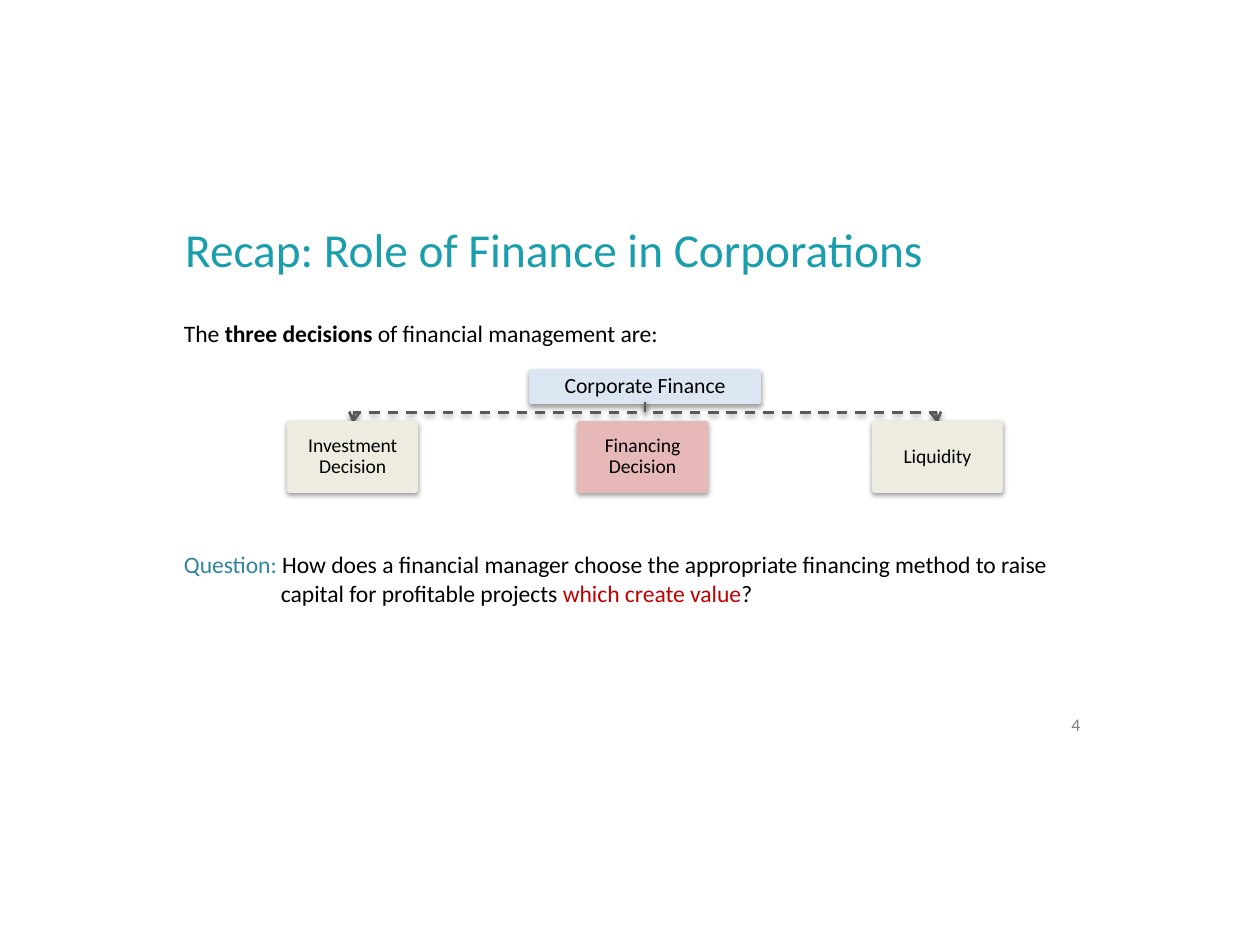
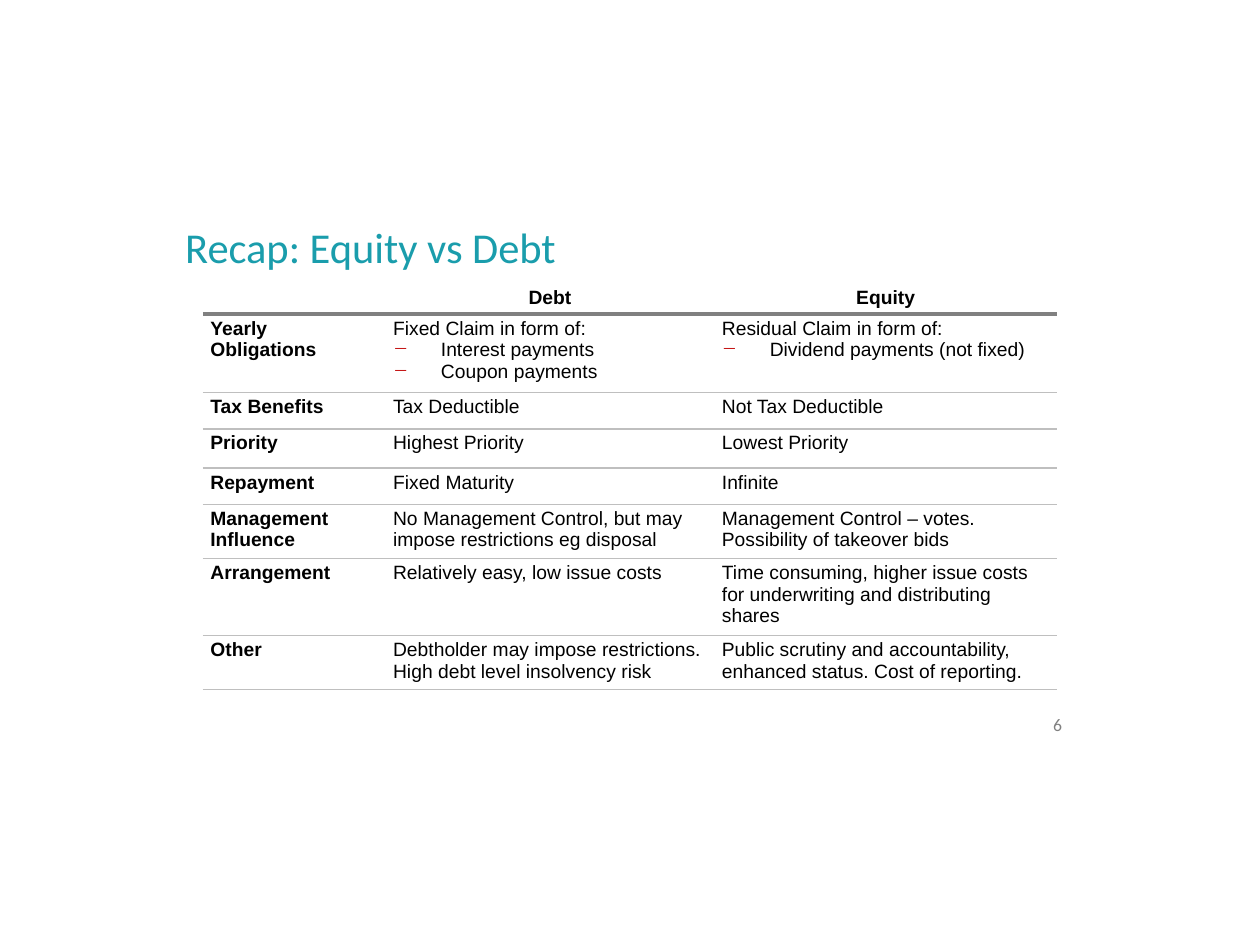
from dataclasses import dataclass

from lxml import etree
from pptx import Presentation
from pptx.dml.color import RGBColor
from pptx.enum import dml, shapes, text
from pptx.oxml.ns import qn
from pptx.util import Inches, Pt


@dataclass(frozen=True)
class Theme:
    head_font: str = "Calibri"
    table_font: str = "Arial"
    title: str = "1A9DAC"
    ink: str = "000000"
    question: str = "31859C"
    accent: str = "C00000"
    number: str = "808080"
    root: str = "DCE6F2"
    branch: str = "EEECE1"
    focus: str = "E6B9B8"
    link: str = "595959"
    rule: str = "BFBFBF"
    head_rule: str = "808080"
    body_size: float = 13.5
    root_size: float = 12.4
    branch_size: float = 11.2
    table_size: float = 11
    number_size: float = 10.1


T = Theme()
LEFT, CENTER = text.PP_ALIGN.LEFT, text.PP_ALIGN.CENTER

ROLE = {"title": "Recap: Role of Finance in Corporations", "size": 27,
        "number": "4", "number_align": CENTER}
INTRO = [("The ", {}), ("three decisions ", {"bold": True}),
         ("of financial management are:", {})]
QUESTION = [
    ("Question: ", {"color": T.question}),
    ("How does a financial manager choose the appropriate financing method "
     "to raise capital for profitable projects ", {}),
    ("which create value", {"color": T.accent}),
    ("?", {}),
]
ROOT = "Corporate Finance"
DECISIONS = [  # label, left edge, fill
    ("Investment Decision", 2.3, T.branch),
    ("Financing Decision", 4.6, T.focus),
    ("Liquidity", 6.94, T.branch),
]

VERSUS = {"title": "Recap: Equity vs Debt", "size": 24.3,
          "number": "6", "number_align": LEFT}
COLUMNS = [("", 1.45), ("Debt", 2.61), ("Equity", 2.72)]
HEAD_HEIGHT = 0.24
ROWS = [  # height, then cells; a list is a lead line followed by dashed items
    (0.62, "Yearly Obligations",
     ["Fixed Claim in form of:", "Interest payments", "Coupon payments"],
     ["Residual Claim in form of:", "Dividend payments (not fixed)"]),
    (0.29, "Tax Benefits", "Tax Deductible", "Not Tax Deductible"),
    (0.31, "Priority", "Highest Priority", "Lowest Priority"),
    (0.29, "Repayment", "Fixed Maturity", "Infinite"),
    (0.43, "Management Influence",
     "No Management Control, but may impose restrictions eg disposal",
     "Management Control – votes. Possibility of takeover bids"),
    (0.43, "Arrangement", "Relatively easy, low issue costs",
     "Time consuming, higher issue costs for underwriting and distributing shares"),
    (0.43, "Other",
     "Debtholder may impose restrictions. High debt level insolvency risk",
     "Public scrutiny and accountability, enhanced status. Cost of reporting."),
]


def add(parent, tag, **attrs):
    return etree.SubElement(parent, qn(tag), {k: str(v) for k, v in attrs.items()})


def write(p, runs, size=T.body_size, font=T.head_font, color=T.ink, bold=False, align=LEFT):
    """Fill a paragraph from a string or from (text, overrides) pairs."""
    p.alignment = align
    for words, extra in [(runs, {})] if isinstance(runs, str) else runs:
        r = p.add_run()
        r.text = words
        r.font.name, r.font.size = font, Pt(size)
        r.font.bold = extra.get("bold", bold)
        r.font.color.rgb = RGBColor.from_string(extra.get("color", color))


def indent(p, left):
    """Set a hanging indent and return the paragraph properties."""
    props = p._p.get_or_add_pPr()
    props.set("marL", str(Inches(left)))
    props.set("indent", str(-Inches(left)))
    return props


def place(sp, left, top, width, height):
    sp.left, sp.top, sp.width, sp.height = map(Inches, (left, top, width, height))


def insets(tf, x, y):
    tf.margin_left = tf.margin_right = Inches(x)
    tf.margin_top = tf.margin_bottom = Inches(y)


def new_slide(prs, layout, info):
    s = prs.slides.add_slide(prs.slide_layouts.get_by_name(layout))
    title = s.shapes.title
    place(title, 1.47, 1.75, 6.47, 0.5)
    tf = title.text_frame
    insets(tf, 0, 0)
    tf.auto_size = text.MSO_AUTO_SIZE.NONE
    tf.vertical_anchor = text.MSO_ANCHOR.TOP
    write(tf.paragraphs[0], info["title"], size=info["size"], color=T.title)
    box = s.shapes.add_textbox(*map(Inches, (8.26, 5.62, 0.56, 0.33)))
    box.text_frame.word_wrap = True
    write(box.text_frame.paragraphs[0], info["number"], size=T.number_size,
          color=T.number, align=info["number_align"])
    return s


def outline(sp, color, width, dash=None, arrow=False):
    sp.line.color.rgb = RGBColor.from_string(color)
    sp.line.width = Pt(width)
    if dash:
        sp.line.dash_style = dash
    ln = sp._element.spPr.find(qn("a:ln"))
    add(ln, "a:round")
    if arrow:
        add(ln, "a:tailEnd", type="arrow")


def soft_shadow(sp):
    sp.shadow.inherit = False
    effects = sp._element.spPr.find(qn("a:effectLst"))
    shade = add(effects, "a:outerShdw", blurRad=Pt(3.1), dist=Pt(1.6),
                dir=90 * 60000, rotWithShape=0)
    add(add(shade, "a:srgbClr", val="000000"), "a:alpha", val=38000)


def chart_box(s, label, at, fill, size, inset):
    sp = s.shapes.add_shape(shapes.MSO_SHAPE.RECTANGLE, *map(Inches, at))
    sp.fill.solid()
    sp.fill.fore_color.rgb = RGBColor.from_string(fill)
    outline(sp, fill, 3)
    soft_shadow(sp)
    tf = sp.text_frame
    tf.word_wrap = True
    tf.vertical_anchor = text.MSO_ANCHOR.MIDDLE
    insets(tf, inset, inset)
    p = tf.paragraphs[0]
    p.line_spacing = 0.9
    write(p, label, size=size, align=CENTER)


def elbow(s, start, end):
    """Draw a dashed arrow that goes down, across and down again."""
    (x1, y1), (x2, y2) = start, end
    mid = (y1 + y2) / 2
    path_points = [(x1, mid), (x2, mid), (x2, y2)]
    builder = s.shapes.build_freeform(Inches(x1), Inches(y1))
    builder.add_line_segments([(Inches(x), Inches(y)) for x, y in path_points], close=False)
    sp = builder.convert_to_shape()
    sp.fill.background()
    outline(sp, T.link, 1.5, dml.MSO_LINE.DASH, arrow=True)
    soft_shadow(sp)


def role_slide(prs):
    s = new_slide(prs, "Title and Content", ROLE)
    body = s.placeholders[1]
    place(body, 1.36, 2.48, 7.05, 3.29)
    tf = body.text_frame
    tf.auto_size = text.MSO_AUTO_SIZE.NONE
    for p, runs, hang, before in ((tf.paragraphs[0], INTRO, 0, 0),
                                  (tf.add_paragraph(), QUESTION, 0.77, 116)):
        add(indent(p, hang), "a:buNone")
        p.space_before = Pt(before)
        write(p, runs)

    left, top, width, height = root = (4.22, 2.95, 1.8, 0.24)
    branch_top, branch_width, branch_height = 3.36, 1, 0.53
    chart_box(s, ROOT, root, T.root, T.root_size, 0.07)
    for _, x, _ in (DECISIONS[0], DECISIONS[-1]):
        elbow(s, (left + width / 2, top + height), (x + branch_width / 2, branch_top))
    for label, x, fill in DECISIONS:
        chart_box(s, label, (x, branch_top, branch_width, branch_height),
                  fill, T.branch_size, 0.06)


def border(cell, **edges):
    """Give each side (L, R, T, B) a (colour, points) line, or none."""
    props = cell._tc.get_or_add_tcPr()
    for side in "LRTB":
        color, width = edges.get(side, (None, 0))
        ln = add(props, f"a:ln{side}", w=Pt(width))
        if color:
            add(add(ln, "a:solidFill"), "a:srgbClr", val=color)
        else:
            add(ln, "a:noFill")


def fill_cell(cell, content, bold, align):
    insets(cell, 0.06, 0.03)
    lines = [content] if isinstance(content, str) else content
    tf = cell.text_frame
    for i, line in enumerate(lines):
        p = tf.add_paragraph() if i else tf.paragraphs[0]
        if i:
            props = indent(p, 0.38)
            add(add(props, "a:buClr"), "a:srgbClr", val=T.accent)
            add(props, "a:buChar", char="─")
        if line:
            write(p, line, size=T.table_size, font=T.table_font, bold=bold, align=align)
        else:
            add(p._p, "a:endParaRPr", sz=int(T.table_size * 100))


def versus_slide(prs):
    s = new_slide(prs, "Title Only", VERSUS)
    grid = [(HEAD_HEIGHT, *(name for name, _ in COLUMNS)), *ROWS]
    widths = [w for _, w in COLUMNS]
    heights = [row[0] for row in grid]
    size = map(Inches, (1.61, 2.25, sum(widths), sum(heights)))
    table = s.shapes.add_table(len(grid), len(widths), *size).table
    table.first_row = table.horz_banding = False
    for column, w in zip(table.columns, widths):
        column.width = Inches(w)
    thin, thick = (T.rule, 1), (T.head_rule, 2.25)
    for i, (height, *cells) in enumerate(grid):
        table.rows[i].height = Inches(height)
        edges = {"B": thin if i else thick}
        if i:
            edges["T"] = thick if i == 1 else thin
        for j, content in enumerate(cells):
            cell = table.cell(i, j)
            border(cell, **edges)
            cell.fill.background()
            fill_cell(cell, content, bold=i == 0 or j == 0, align=LEFT if i else CENTER)


def main():
    prs = Presentation()
    prs.slide_width, prs.slide_height = Inches(10), Inches(7.5)
    role_slide(prs)
    versus_slide(prs)
    prs.save("out.pptx")


if __name__ == "__main__":
    main()
